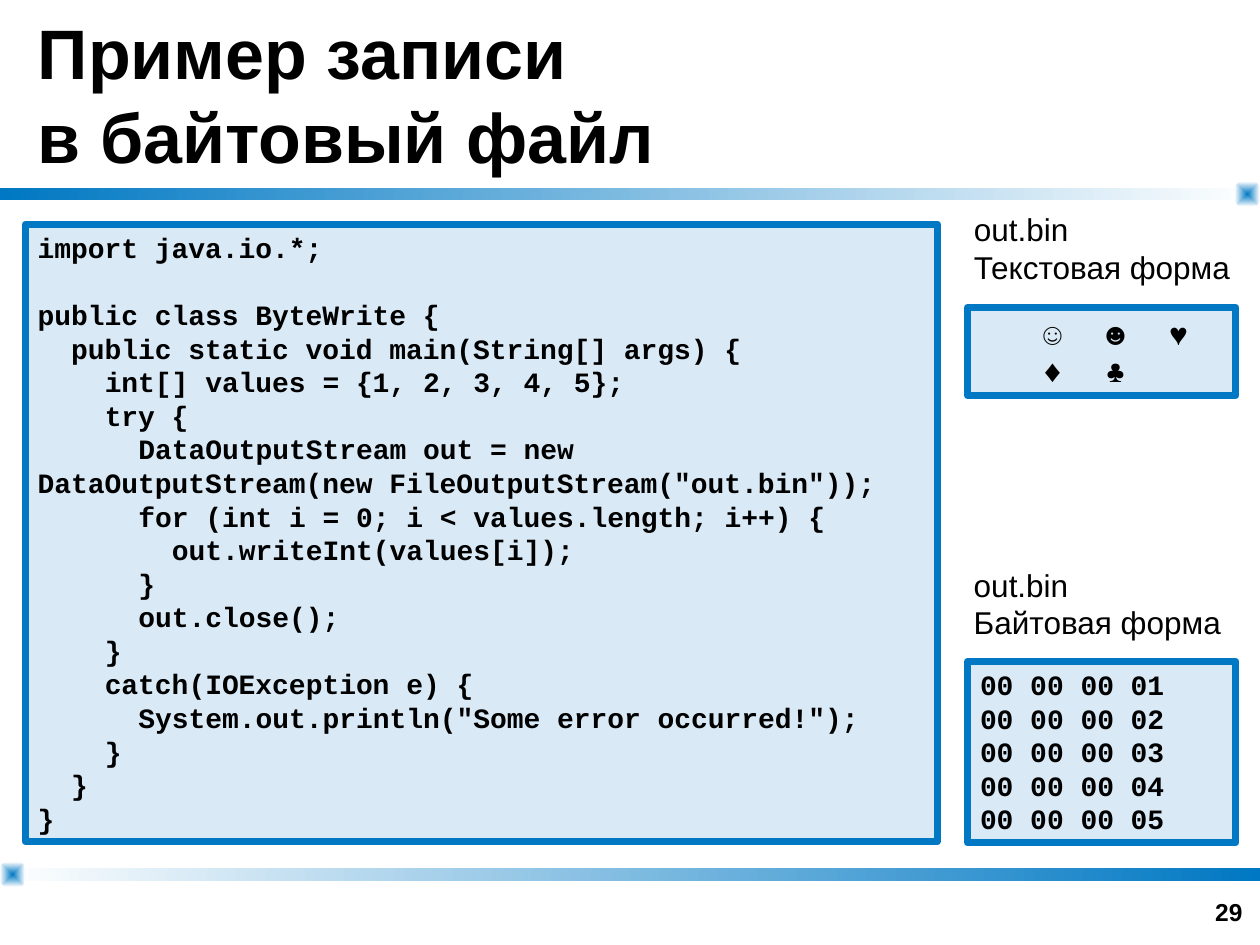
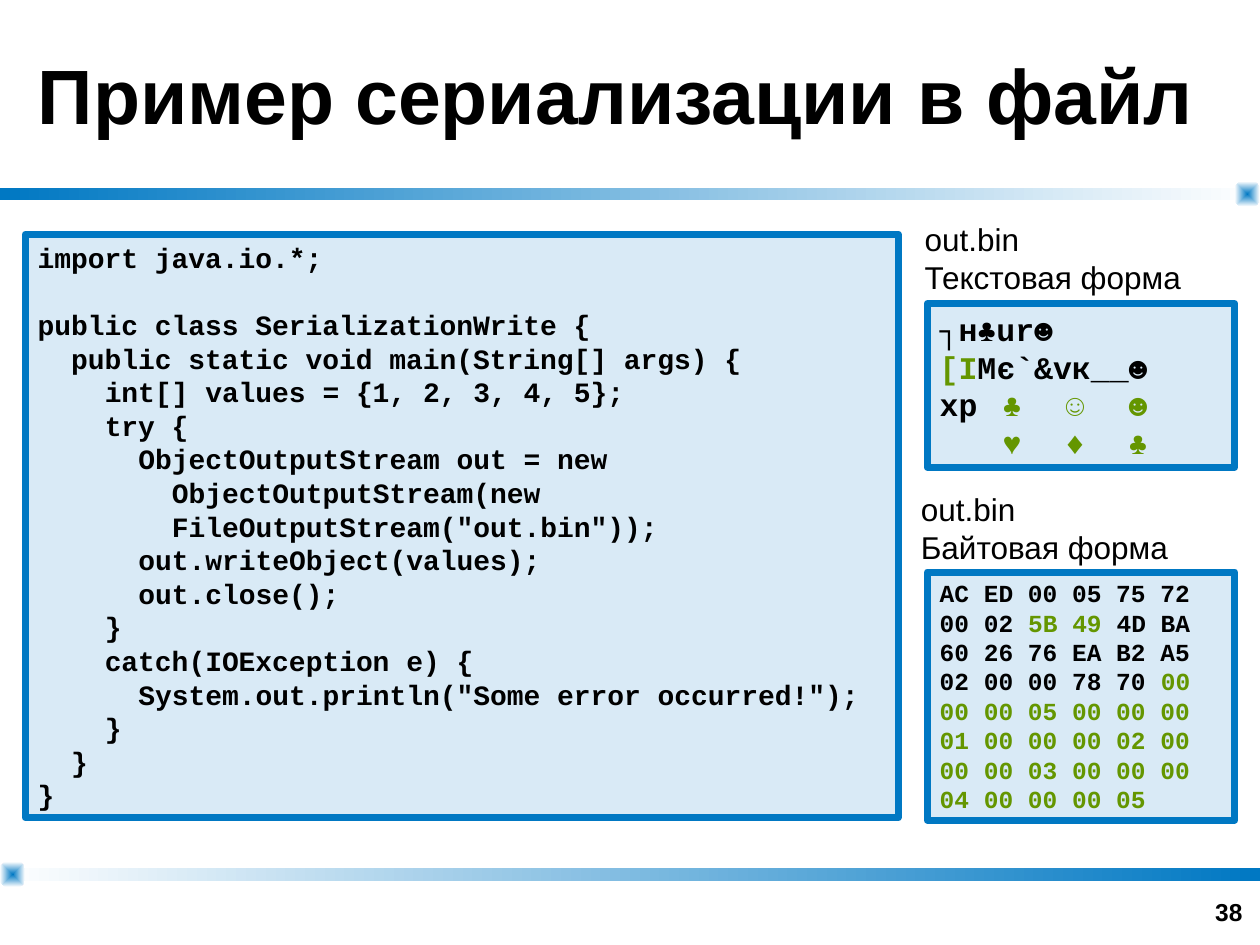
from lxml import etree
from pptx import Presentation
from pptx import util as u
from pptx.dml.color import RGBColor
from pptx.enum import shapes, text
from pptx.oxml import ns

BLUE, GREEN, BLACK, WHITE = "0078C3", "649600", "000000", "FFFFFF"
SANS, MONO = "Arial", "Courier New"
LINE_PITCH = 1.2  # line height in ems
CHARACTER_WIDTH = 0.6  # Courier New advance in ems


def color(value):
    return RGBColor.from_string(value)


def write(frame, lines, size, font=SANS, bold=False, align=text.PP_ALIGN.LEFT,
          anchor=text.MSO_ANCHOR.TOP, wrap=True, tabs=()):
    """Fill a frame; a line is a string or a list of (text, colour) runs."""
    frame.auto_size = text.MSO_AUTO_SIZE.NONE
    frame.word_wrap = wrap
    frame.vertical_anchor = anchor
    frame.margin_left = frame.margin_right = u.Inches(0.1)
    frame.margin_top = frame.margin_bottom = u.Inches(0.05)
    pitch = u.Pt(size * LINE_PITCH)
    paragraph, gap = None, 0
    for index, line in enumerate(lines):
        if not line:
            gap = pitch
            continue
        runs = [(line, BLACK)] if isinstance(line, str) else line
        paragraph = frame.add_paragraph() if paragraph else frame.paragraphs[0]
        paragraph.alignment = align
        paragraph.line_spacing = pitch
        paragraph.space_before, gap = u.Pt(0) + gap, 0
        properties = paragraph._p.get_or_add_pPr()
        # Leading spaces of code become a first-line indent
        first = runs[0][0]
        depth = len(first) - len(first.lstrip(" "))
        properties.set("marL", "0")
        properties.set("indent", str(u.Pt(depth * size * CHARACTER_WIDTH)))
        if index < len(tabs):
            stops = etree.SubElement(properties, ns.qn("a:tabLst"))
            for position in tabs[index]:
                etree.SubElement(stops, ns.qn("a:tab"),
                                 pos=str(u.Inches(position)), algn="l")
        for number, (words, shade) in enumerate(runs):
            for part, piece in enumerate(words[0 if number else depth:].split("\n")):
                if part:
                    paragraph.add_line_break()
                run = paragraph.add_run()
                run.text = piece
                run.font.name, run.font.size, run.font.bold = font, u.Pt(size), bold
                run.font.color.rgb = color(shade)


# Code listings share everything but the class name and the writing part
LISTING = """import java.io.*;

public class %s {
  public static void main(String[] args) {
    int[] values = {1, 2, 3, 4, 5};
    try {
%s
      out.close();
    }
    catch(IOException e) {
      System.out.println("Some error occurred!");
    }
  }
}"""
BYTE_WRITE = """      DataOutputStream out = new DataOutputStream(new FileOutputStream("out.bin"));
      for (int i = 0; i < values.length; i++) {
        out.writeInt(values[i]);
      }"""
SERIALIZATION_WRITE = """      ObjectOutputStream out = new
        ObjectOutputStream(new
        FileOutputStream("out.bin"));
      out.writeObject(values);"""

# Panels: left, top, width, height, lines, size, tab stops by line
# Captions: left, top, width, second line
TEXT_FORM, BYTE_FORM = "Текстовая форма", "Байтовая форма"
contents = [
    {
        "title": "Пример записи\nв байтовый файл", "title_size": 40, "number": "29",
        "panels": [
            (0.2, 1.78, 7.24, 4.9,
             (LISTING % ("ByteWrite", BYTE_WRITE)).split("\n"), 16, ()),
            (7.68, 2.44, 2.13, 0.7, ["\t☺\t☻\t♥", "\t♦\t♣"], 18,
             [(0.4, 0.95, 1.5)] * 2),
            (7.68, 5.25, 2.13, 1.44,
             [f"00 00 00 {value:02}" for value in range(1, 6)], 16, ()),
        ],
        "captions": [(7.63, 1.62, 2.25, TEXT_FORM), (7.63, 4.44, 2.17, BYTE_FORM)],
    },
    {
        "title": "Пример сериализации в файл", "title_size": 44, "number": "38",
        "panels": [
            (0.2, 1.86, 6.93, 4.63,
             (LISTING % ("SerializationWrite", SERIALIZATION_WRITE)).split("\n"), 16, ()),
            (7.36, 4.54, 2.44, 1.97, [[
                ("AC ED 00 05 75 72 00 02 ", BLACK), ("5B 49", GREEN),
                (" 4D BA 60 26 76 EA B2 A5 02 00 00 78 70 ", BLACK),
                ("00 00 00 05 00 00 00 01 00 00 00 02 "
                 "00 00 00 03 00 00 00 04 00 00 00 05", GREEN)]], 14, ()),
            (7.36, 2.41, 2.44, 1.3, [
                "┐н♣ur☻",
                [("[I", GREEN), ("Мє`&vк__☻", BLACK)],
                [("xp", BLACK), ("\t♣\t☺\t☻", GREEN)],
                [("\t♥\t♦\t♣", GREEN)]], 18,
             [(), (), (0.75, 1.35, 1.95), (0.3, 0.9, 1.5)]),
        ],
        "captions": [(7.24, 1.7, 2.25, TEXT_FORM), (7.21, 3.84, 2.17, BYTE_FORM)],
    },
]

presentation = Presentation()
presentation.slide_width, presentation.slide_height = u.Inches(10), u.Inches(7.5)
title_only = presentation.slide_layouts[5]
slides = [presentation.slides.add_slide(title_only) for _ in contents]

# Gradient bands and corner squares, moved to the master
RECTANGLE, ROUNDED = shapes.MSO_SHAPE.RECTANGLE, shapes.MSO_SHAPE.ROUNDED_RECTANGLE
decorations = [
    (RECTANGLE, 0, 1.49, 10, 0.1, BLUE, WHITE),
    (RECTANGLE, 0, 6.89, 10, 0.1, WHITE, BLUE),
    (ROUNDED, 9.8, 1.44, 0.2, 0.2, BLUE, WHITE),
    (ROUNDED, 0, 6.84, 0.2, 0.2, BLUE, WHITE),
]
for index, (kind, left, top, width, height, start, end) in enumerate(decorations):
    shape = slides[0].shapes.add_shape(
        kind, u.Inches(left), u.Inches(top), u.Inches(width), u.Inches(height))
    shape.shadow.inherit = False
    shape.line.fill.background()
    shape.fill.gradient()
    shape.fill.gradient_angle = 0
    for stop, shade in zip(shape.fill.gradient_stops, (start, end)):
        stop.color.rgb = color(shade)
    if kind == ROUNDED:
        shape.adjustments[0] = 0.32
        linear = shape.element.spPr.find(".//" + ns.qn("a:lin"))
        radial = etree.Element(ns.qn("a:path"))
        radial.set("path", "rect")
        etree.SubElement(radial, ns.qn("a:fillToRect"),
                         l="50000", t="50000", r="50000", b="50000")
        linear.getparent().replace(linear, radial)
    shape.element.nvSpPr.cNvPr.set("id", str(20 + index))
    presentation.slide_master.shapes.element.append(shape.element)

for slide, content in zip(slides, contents):
    # Title
    title = slide.shapes.title
    title.left, title.top = u.Inches(0.2), u.Inches(0)
    title.width, title.height = u.Inches(9.6), u.Inches(1.49)
    write(title.text_frame, [content["title"]], content["title_size"], bold=True,
          anchor=text.MSO_ANCHOR.MIDDLE)

    # Slide number
    number = slide.shapes.add_textbox(
        u.Inches(7.63), u.Inches(6.9), u.Inches(2.33), u.Inches(0.5))
    write(number.text_frame, [content["number"]], 14, bold=True,
          align=text.PP_ALIGN.RIGHT, anchor=text.MSO_ANCHOR.BOTTOM)

    # Code and file contents
    for left, top, width, height, lines, size, tabs in content["panels"]:
        panel = slide.shapes.add_shape(
            RECTANGLE, u.Inches(left), u.Inches(top), u.Inches(width), u.Inches(height))
        panel.shadow.inherit = False
        panel.fill.solid()
        panel.fill.fore_color.rgb = color(BLUE)
        tint = panel.element.spPr.find(".//" + ns.qn("a:srgbClr"))
        etree.SubElement(tint, ns.qn("a:alpha"), val="15000")
        panel.line.color.rgb = color(BLUE)
        panel.line.width = u.Pt(4)
        write(panel.text_frame, lines, size, font=MONO, bold=True, tabs=tabs)

    # File captions
    for left, top, width, form in content["captions"]:
        caption = slide.shapes.add_textbox(
            u.Inches(left), u.Inches(top), u.Inches(width), u.Inches(0.7))
        write(caption.text_frame, ["out.bin", form], 18, wrap=False)

presentation.save("out.pptx")
